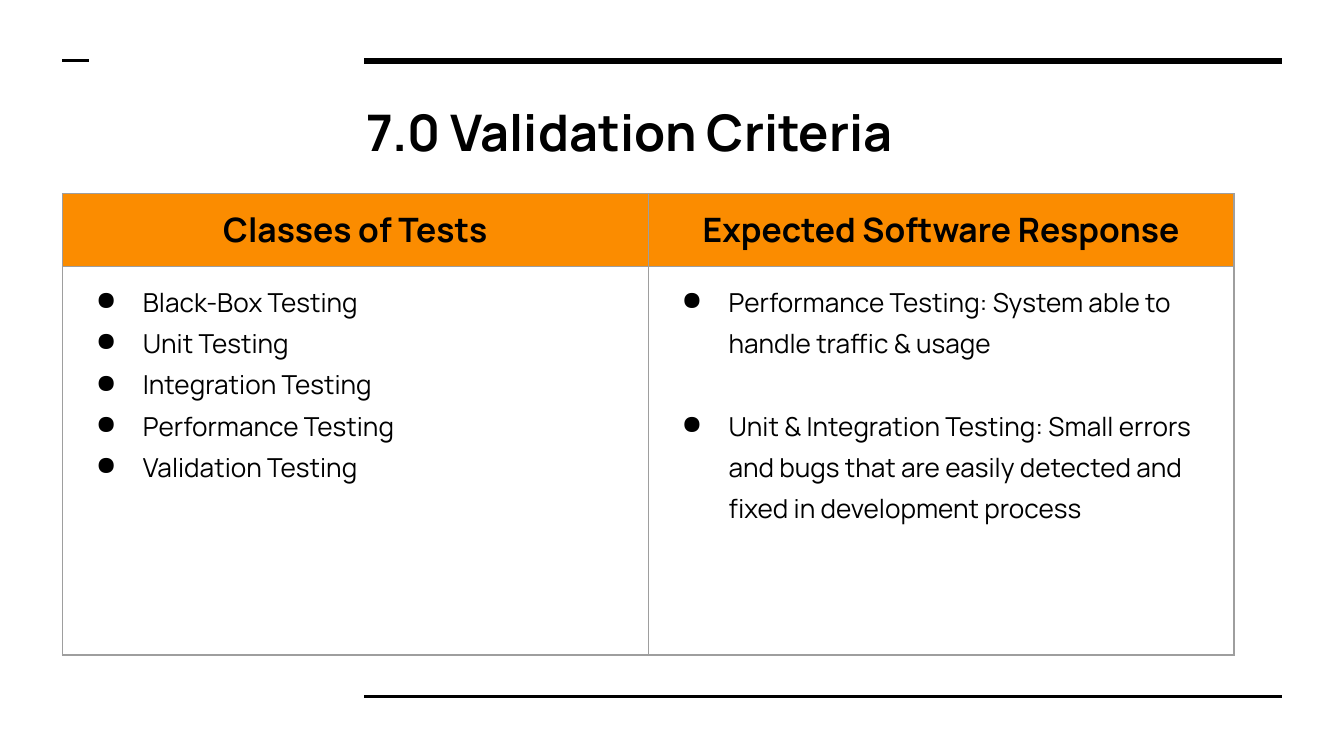
"""Build the validation criteria slide with a two-column test table."""
from pptx import Presentation
from pptx.dml.color import RGBColor
from pptx.enum.shapes import MSO_CONNECTOR as Connector
from pptx.enum.text import MSO_ANCHOR as Anchor, PP_ALIGN as Align
from pptx.oxml import parse_xml
from pptx.oxml.ns import nsdecls
from pptx.util import Cm, Pt


def color(value):
    return RGBColor.from_string(value)


def element(tag, attributes="", content=""):
    return parse_xml(f'<a:{tag} {nsdecls("a")} {attributes}>{content}</a:{tag}>')


def solid(value):
    return f'<a:solidFill><a:srgbClr val="{value}"/></a:solidFill>'


def write(paragraph, text, font="Manrope", size=14, ink="000000", bold=False,
          align=Align.LEFT, spacing=1.0, before=0, bullet=None):
    run = paragraph.add_run()
    run.text = text
    run.font.name = font
    run.font.size = Pt(size)
    run.font.bold = bold
    run.font.color.rgb = color(ink)
    paragraph.alignment = align
    paragraph.line_spacing = spacing
    paragraph.space_before = Pt(before)
    if bullet:
        properties = paragraph._p.get_or_add_pPr()
        properties.set("marL", str(Cm(1.27)))
        properties.set("indent", str(-Cm(0.89)))
        properties.append(element("buClr", content=f'<a:srgbClr val="{ink}"/>'))
        properties.append(element("buChar", f'char="{bullet}"'))


class SlideBuilder:
    ink = "000000"
    accent = "FB8C00"
    border = "9E9E9E"
    inset = Cm(0.25)

    def __init__(self, presentation):
        self.slide = presentation.slides.add_slide(presentation.slide_layouts[5])
        background = self.slide.background.fill
        background.solid()
        background.fore_color.rgb = color("FFFFFF")

    def rule(self, left, right, top, width):
        line = self.slide.shapes.add_connector(
            Connector.STRAIGHT, Cm(left), Cm(top), Cm(right), Cm(top))
        line.line.color.rgb = color(self.ink)
        line.line.width = Pt(width)
        line._element.spPr.append(element("effectLst"))

    def title(self, text, left, top, width, height):
        shape = self.slide.shapes.title
        shape.left, shape.top = Cm(left), Cm(top)
        shape.width, shape.height = Cm(width), Cm(height)
        frame = shape.text_frame
        frame.word_wrap = True
        frame.vertical_anchor = Anchor.MIDDLE
        frame.margin_left = frame.margin_right = self.inset
        frame.margin_top = frame.margin_bottom = self.inset
        write(frame.paragraphs[0], text, size=27, bold=True)

    def cell(self, cell, lines, fill=None, gap=0, **style):
        cell.margin_left = cell.margin_right = self.inset
        cell.margin_top = cell.margin_bottom = self.inset
        cell.vertical_anchor = Anchor.TOP
        properties = cell._tc.get_or_add_tcPr()
        for side in ("lnL", "lnR", "lnT", "lnB"):
            properties.append(element(side, f'w="{Pt(0.75)}"', solid(self.border)))
        if fill:
            cell.fill.solid()
            cell.fill.fore_color.rgb = color(fill)
        else:
            cell.fill.background()
        frame = cell.text_frame
        for index, text in enumerate(lines):
            paragraph = frame.add_paragraph() if index else frame.paragraphs[0]
            write(paragraph, text, before=gap if index else 0, **style)

    def table(self, columns, left, top, column_width, row_heights):
        table = self.slide.shapes.add_table(
            2, len(columns), Cm(left), Cm(top),
            Cm(column_width * len(columns)), Cm(sum(row_heights))).table
        table.first_row = table.horz_banding = False
        for row, height in zip(table.rows, row_heights):
            row.height = Cm(height)
        for index, (heading, items, gap) in enumerate(columns):
            table.columns[index].width = Cm(column_width)
            self.cell(table.cell(0, index), [heading], fill=self.accent,
                      size=18, bold=True, align=Align.CENTER)
            self.cell(table.cell(1, index), items, gap=gap,
                      spacing=1.15, bullet="●")


def main():
    presentation = Presentation()
    presentation.slide_width, presentation.slide_height = Cm(25.4), Cm(14.29)
    builder = SlideBuilder(presentation)
    builder.rule(6.88, 24.23, 1.15, 3)
    builder.rule(6.88, 24.23, 13.16, 1.5)
    builder.rule(1.18, 1.69, 1.15, 1.5)
    builder.title("7.0 Validation Criteria", 6.67, 1.6, 17.55, 1.75)
    columns = [
        ("Classes of Tests",
         ["Black-Box Testing", "Unit Testing", "Integration Testing",
          "Performance Testing", "Validation Testing"], 0),
        ("Expected Software Response",
         ["Performance Testing: System able to handle traffic & usage",
          "Unit & Integration Testing: Small errors and bugs that are easily "
          "detected and fixed in development process"], 22),
    ]
    builder.table(columns, 1.18, 3.66, 11.07, [1.37, 7.35])
    presentation.save("out.pptx")


if __name__ == "__main__":
    main()
